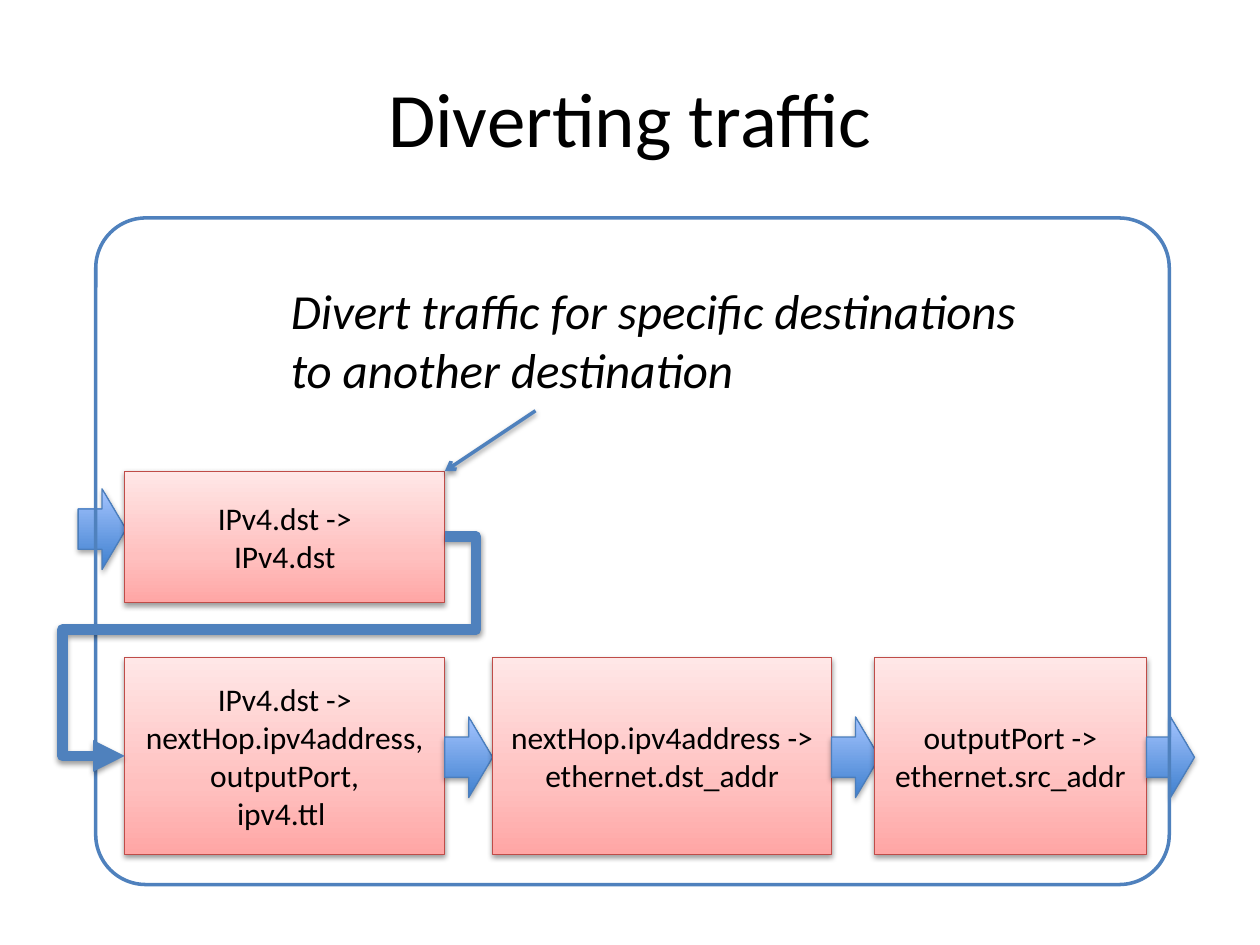
from dataclasses import dataclass

from lxml.etree import SubElement
from pptx import Presentation
from pptx.dml.color import RGBColor
from pptx.enum.shapes import MSO_CONNECTOR, MSO_SHAPE
from pptx.enum.text import MSO_ANCHOR, PP_ALIGN
from pptx.oxml.ns import qn
from pptx.util import Inches, Pt


@dataclass(frozen=True)
class Theme:
    font: str = "Calibri"
    text: str = "000000"
    accent: str = "4F81BD"
    title_size: int = 44
    note_size: int = 28
    box_size: int = 18
    box_line: str = "BF4C48"
    box_stops: tuple = ((0, "FFA6A5"), (35, "FFC0BF"), (100, "FFE7E7"))
    arrow_line: str = "4B7EBC"
    arrow_stops: tuple = ((0, "3F80CE"), (100, "A4C4FF"))


THEME = Theme()
ARROW_W, ARROW_H = 0.38, 0.64


def write_text(tf, lines, size, align, italic=False):
    font = {"name": THEME.font, "size": Pt(size), "italic": italic}
    for i, line in enumerate(lines):
        p = tf.paragraphs[0] if i == 0 else tf.add_paragraph()
        p.alignment = align
        p.text = line
        for r in p.runs:
            for name, value in font.items():
                setattr(r.font, name, value)
            r.font.color.rgb = RGBColor.from_string(THEME.text)


def set_line(s, color, width):
    s.line.color.rgb = RGBColor.from_string(color)
    s.line.width = Pt(width)


def add_shadow(s, alpha=38, dist=1.6):
    sp_pr = s._element.spPr
    effects = sp_pr.find(qn("a:effectLst"))
    if effects is None:
        effects = SubElement(sp_pr, qn("a:effectLst"))
    shadow = SubElement(effects, qn("a:outerShdw"), blurRad=str(Pt(3.1)),
                        dist=str(Pt(dist)), dir="5400000", rotWithShape="0")
    color = SubElement(shadow, qn("a:srgbClr"), val="000000")
    SubElement(color, qn("a:alpha"), val=str(alpha * 1000))


def set_gradient(s, stops):
    s.fill.gradient()
    s.fill.gradient_angle = 90
    stop_list = s._element.spPr.find(qn("a:gradFill")).find(qn("a:gsLst"))
    for old in list(stop_list):
        stop_list.remove(old)
    for position, color in stops:
        stop = SubElement(stop_list, qn("a:gs"), pos=str(position * 1000))
        SubElement(stop, qn("a:srgbClr"), val=color)


def add_preset(slide, kind, box):
    s = slide.shapes.add_shape(kind, *map(Inches, box))
    s.shadow.inherit = False
    return s


def add_arrow(slide, x, y):
    """Block arrow whose left end is at x, centred on y."""
    s = add_preset(slide, MSO_SHAPE.RIGHT_ARROW,
                   (x, y - ARROW_H / 2, ARROW_W, ARROW_H))
    set_gradient(s, THEME.arrow_stops)
    set_line(s, THEME.arrow_line, 0.75)
    add_shadow(s, 35, 1.8)


def add_stage(slide, box, lines):
    s = add_preset(slide, MSO_SHAPE.RECTANGLE, box)
    set_gradient(s, THEME.box_stops)
    set_line(s, THEME.box_line, 0.75)
    add_shadow(s)
    s.text_frame.word_wrap = True
    s.text_frame.vertical_anchor = MSO_ANCHOR.MIDDLE
    write_text(s.text_frame, lines, THEME.box_size, PP_ALIGN.CENTER)


def add_line(slide, kind, start, end, width, head):
    c = slide.shapes.add_connector(kind, *map(Inches, (*start, *end)))
    set_line(c, THEME.accent, width)
    SubElement(c.line._get_or_add_ln(), qn("a:tailEnd"), type=head)
    add_shadow(c)
    return c


def add_title(slide, box, text):
    tf = slide.shapes.add_textbox(*map(Inches, box)).text_frame
    tf.word_wrap = True
    tf.vertical_anchor = MSO_ANCHOR.MIDDLE
    write_text(tf, [text], THEME.title_size, PP_ALIGN.CENTER)


def add_pipeline(slide, box, stages):
    """Row of stages, each followed by an arrow."""
    _, top, _, height = box
    for left, width, lines in stages:
        add_stage(slide, (left, top, width, height), lines)
        add_arrow(slide, left + width, top + height / 2 + 0.01)


def add_frame(slide, box):
    s = add_preset(slide, MSO_SHAPE.ROUNDED_RECTANGLE, box)
    s.adjustments[0] = 0.075
    s.fill.background()
    set_line(s, THEME.accent, 2)


def add_detour(slide, source, target):
    """Bent line from the right side of source round to the left of target."""
    left, top, width, height = source
    start = (left + width, top + height / 2)
    end = (target[0], target[1] + target[3] / 2)
    c = add_line(slide, MSO_CONNECTOR.ELBOW, start, end, 6, "triangle")
    geometry = c._element.spPr.find(qn("a:prstGeom"))
    geometry.set("prst", "bentConnector5")
    guides = geometry.find(qn("a:avLst"))
    if guides is None:
        guides = SubElement(geometry, qn("a:avLst"))
    for i, value in enumerate((-9800, 42400, 119500), 1):
        SubElement(guides, qn("a:gd"), name=f"adj{i}", fmla=f"val {value}")


def add_note(slide, box, text, target):
    """Italic note with a thin arrow to the target's top right corner."""
    left, top, _, height = box
    tf = slide.shapes.add_textbox(*map(Inches, box)).text_frame
    tf.word_wrap = False
    write_text(tf, [text], THEME.note_size, PP_ALIGN.LEFT, italic=True)
    add_line(slide, MSO_CONNECTOR.STRAIGHT, (left + 2.04, top + height + 0.04),
             (target[0] + target[2], target[1]), 2, "arrow")


def main():
    prs = Presentation()
    prs.slide_width, prs.slide_height = Inches(10), Inches(7.5)
    slide = prs.slides.add_slide(prs.slide_layouts[6])

    divert = (0.99, 3.74, 2.54, 1.04)
    row = (0.99, 5.22, 8.11, 1.56)
    first = (0.99, 5.22, 2.54, 1.56)
    stages = [
        (0.99, 2.54, ["IPv4.dst ->", "nextHop.ipv4address,", "outputPort,",
                      "ipv4.ttl "]),
        (3.91, 2.69, ["nextHop.ipv4address ->", "ethernet.dst_addr"]),
        (6.94, 2.16, ["outputPort ->", "ethernet.src_addr"]),
    ]

    # Title
    add_title(slide, (0.5, 0.3, 9, 1.25), "Diverting traffic")

    # Forwarding stages and the entry arrow, behind the frame
    add_pipeline(slide, row, stages)
    add_arrow(slide, 0.62, 4.2)
    add_frame(slide, (0.76, 1.73, 8.52, 5.29))

    # Diverting stage, its way into the pipeline and its note
    add_stage(slide, divert, ["IPv4.dst ->", "IPv4.dst"])
    add_detour(slide, divert, first)
    add_note(slide, (2.21, 2.18, 6.13, 1.04),
             "Divert traffic for specific destinations\vto another destination",
             divert)

    prs.save("out.pptx")


if __name__ == "__main__":
    main()
